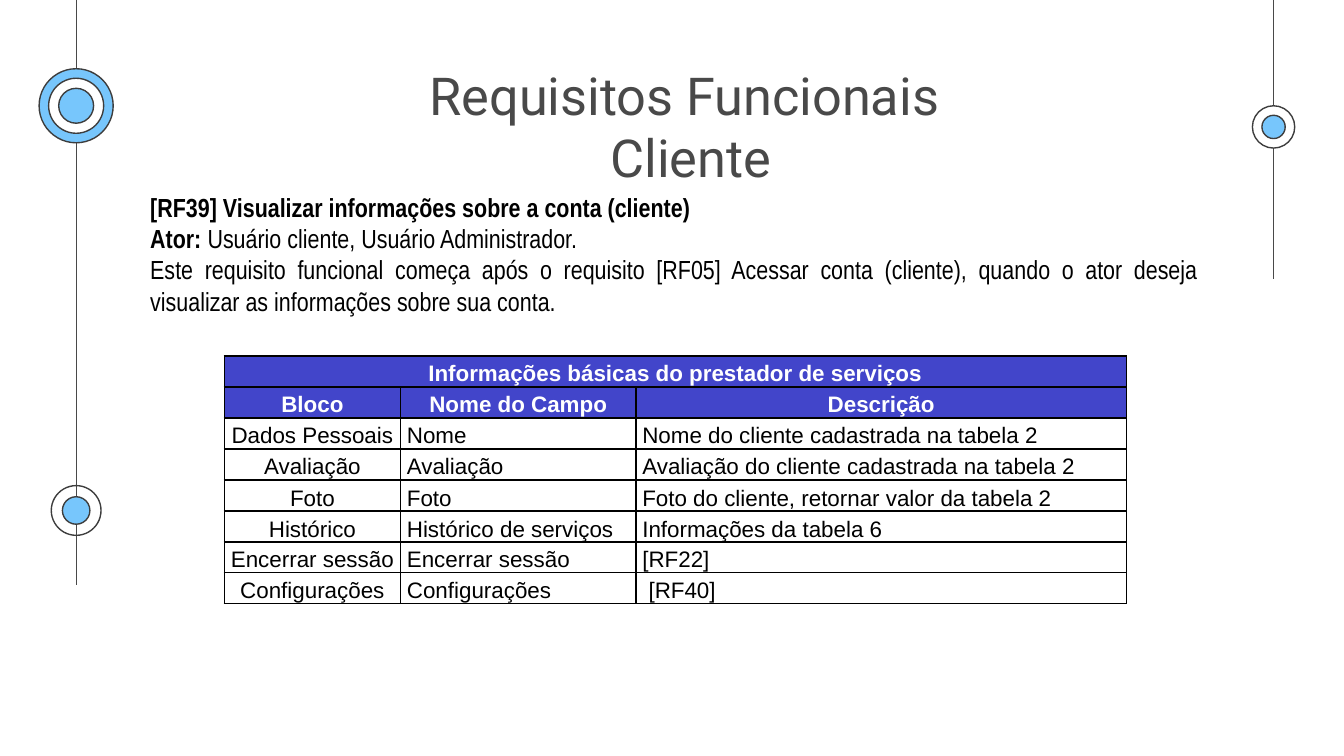
import collections

import lxml.etree
import pptx
import pptx.dml.color
import pptx.enum.shapes
import pptx.enum.text
import pptx.oxml.ns
import pptx.util

Cm = pptx.util.Cm
Pt = pptx.util.Pt
ALIGN = pptx.enum.text.PP_ALIGN
ANCHOR = pptx.enum.text.MSO_ANCHOR
qn = pptx.oxml.ns.qn
Box = collections.namedtuple("Box", "left top width height")

GREY, OUTLINE, SKY, WHITE, BLACK, INDIGO = (
    "494949", "3D3D3D", "77C6FC", "FFFFFF", "000000", "4245CA")
BODY = [
    [("[RF39] Visualizar informações sobre a conta (cliente)", True)],
    [("Ator: ", True), ("Usuário cliente, Usuário Administrador.", False)],
    [("Este requisito funcional começa após o requisito [RF05] Acessar conta (cliente), "
      "quando o ator deseja visualizar as informações sobre sua conta.", False)],
]
FIELDS = [
    ["Informações básicas do prestador de serviços", "", ""],
    ["Bloco", "Nome do Campo", "Descrição"],
    ["Dados Pessoais", "Nome", "Nome do cliente cadastrada na tabela 2"],
    ["Avaliação", "Avaliação", "Avaliação do cliente cadastrada na tabela 2"],
    ["Foto", "Foto", "Foto do cliente, retornar valor da tabela 2"],
    ["Histórico", "Histórico de serviços", "Informações da tabela 6"],
    ["Encerrar sessão", "Encerrar sessão", "[RF22]"],
    ["Configurações", "Configurações", " [RF40]"],
]
COLUMN_WIDTHS = [3.33, 4.45, 9.27]
HEADER_ROWS = 2
FIRST_BOTTOM_ROW = 4


def colour(value):
    """Turn a hex string into a colour."""
    return pptx.dml.color.RGBColor.from_string(value)


def style_span(span, face, size, tint, bold=False):
    """Set the font of one run."""
    span.font.name = face
    span.font.size = Pt(size)
    span.font.bold = bold
    span.font.color.rgb = colour(tint)


def add_text_frame(page, box, inset):
    """Add a wrapping text box and return its frame."""
    frame = page.shapes.add_textbox(*map(Cm, box)).text_frame
    frame.word_wrap = True
    frame.vertical_anchor = ANCHOR.TOP
    frame.margin_top = frame.margin_bottom = Cm(inset)
    return frame


def add_rail(page, box, targets):
    """Draw a vertical line at the box's left edge with ringed targets on it."""
    rail = page.shapes.add_connector(
        pptx.enum.shapes.MSO_CONNECTOR.STRAIGHT,
        Cm(box.left), Cm(box.top), Cm(box.left), Cm(box.top + box.height))
    rail.line.color.rgb = colour(GREY)
    rail.line.width = Pt(0.75)
    lxml.etree.SubElement(rail._element.spPr, qn("a:effectLst"))
    for middle, rings in targets:
        for diameter, fill in rings:
            ring = page.shapes.add_shape(
                pptx.enum.shapes.MSO_SHAPE.OVAL,
                Cm(box.left - diameter / 2), Cm(box.top + middle - diameter / 2),
                Cm(diameter), Cm(diameter))
            ring.shadow.inherit = False
            ring.line.color.rgb = colour(OUTLINE)
            ring.line.width = Pt(0.75)
            if fill:
                ring.fill.solid()
                ring.fill.fore_color.rgb = colour(fill)
            else:
                ring.fill.background()


def add_title(page, box):
    """Place the two-line heading."""
    para = add_text_frame(page, box, 0.25).paragraphs[0]
    para.text = "Requisitos Funcionais \vCliente"
    para.alignment = ALIGN.CENTER
    for span in para.runs:
        style_span(span, "Roboto", 28, GREY)


def add_body(page, box):
    """Place the requirement's description."""
    frame = add_text_frame(page, box, 0.13)
    frame.text = "\n".join([""] * len(BODY))
    for para, parts in zip(frame.paragraphs, BODY):
        para.alignment = ALIGN.JUSTIFY
        for words, bold in parts:
            span = para.add_run()
            span.text = words
            style_span(span, "Arial Narrow", 14, BLACK, bold)


def add_borders(cell):
    """Draw a black line on all four sides of a cell."""
    properties = cell._tc.get_or_add_tcPr()
    for index, side in enumerate(("a:lnL", "a:lnR", "a:lnT", "a:lnB")):
        line = lxml.etree.Element(qn(side), w=str(Pt(1)))
        fill = lxml.etree.SubElement(line, qn("a:solidFill"))
        lxml.etree.SubElement(fill, qn("a:srgbClr"), val=BLACK)
        properties.insert(index, line)


def format_cell(cell, words, row, column):
    """Fill in one cell according to its row and column."""
    header = row < HEADER_ROWS
    cell.margin_left = cell.margin_right = Cm(0.12)
    cell.margin_top = cell.margin_bottom = 0
    cell.vertical_anchor = ANCHOR.BOTTOM if row >= FIRST_BOTTOM_ROW else ANCHOR.MIDDLE
    if header:
        cell.fill.solid()
        cell.fill.fore_color.rgb = colour(INDIGO)
    else:
        cell.fill.background()
    add_borders(cell)
    para = cell.text_frame.paragraphs[0]
    para.text = words
    para.line_spacing = 1.15
    para.alignment = ALIGN.CENTER if header or column == 0 else ALIGN.LEFT
    for span in para.runs:
        style_span(span, "Arial", 12, WHITE if header else BLACK, header)


def add_fields_table(page, box):
    """Place the table of account fields."""
    table = page.shapes.add_table(
        len(FIELDS), len(COLUMN_WIDTHS), *map(Cm, box)).table
    table.first_row = table.horz_banding = False
    for column, width in zip(table.columns, COLUMN_WIDTHS):
        column.width = Cm(width)
    for row in table.rows:
        row.height = Cm(box.height / len(FIELDS))
    for row, texts in enumerate(FIELDS):
        for column, words in enumerate(texts):
            format_cell(table.cell(row, column), words, row, column)
    table.cell(0, 0).merge(table.cell(0, len(COLUMN_WIDTHS) - 1))


def main():
    """Build the slide and save it."""
    deck = pptx.Presentation()
    deck.slide_width, deck.slide_height = Cm(25.4), Cm(14.29)
    page = deck.slides.add_slide(deck.slide_layouts[6])
    add_rail(page, Box(1.44, 0, 0, 11.05), [
        (2, [(1.4, SKY), (1.04, WHITE), (0.66, SKY)]),
        (9.65, [(0.94, None), (0.52, SKY)]),
    ])
    add_rail(page, Box(24.07, 0, 0, 5.28), [(2.4, [(0.8, WHITE), (0.44, SKY)])])
    add_title(page, Box(7.77, 0.94, 10.57, 1.6))
    add_body(page, Box(2.59, 3.48, 20.32, 3.25))
    add_fields_table(page, Box(4.24, 6.73, sum(COLUMN_WIDTHS), 4.68))
    deck.save("out.pptx")


if __name__ == "__main__":
    main()
